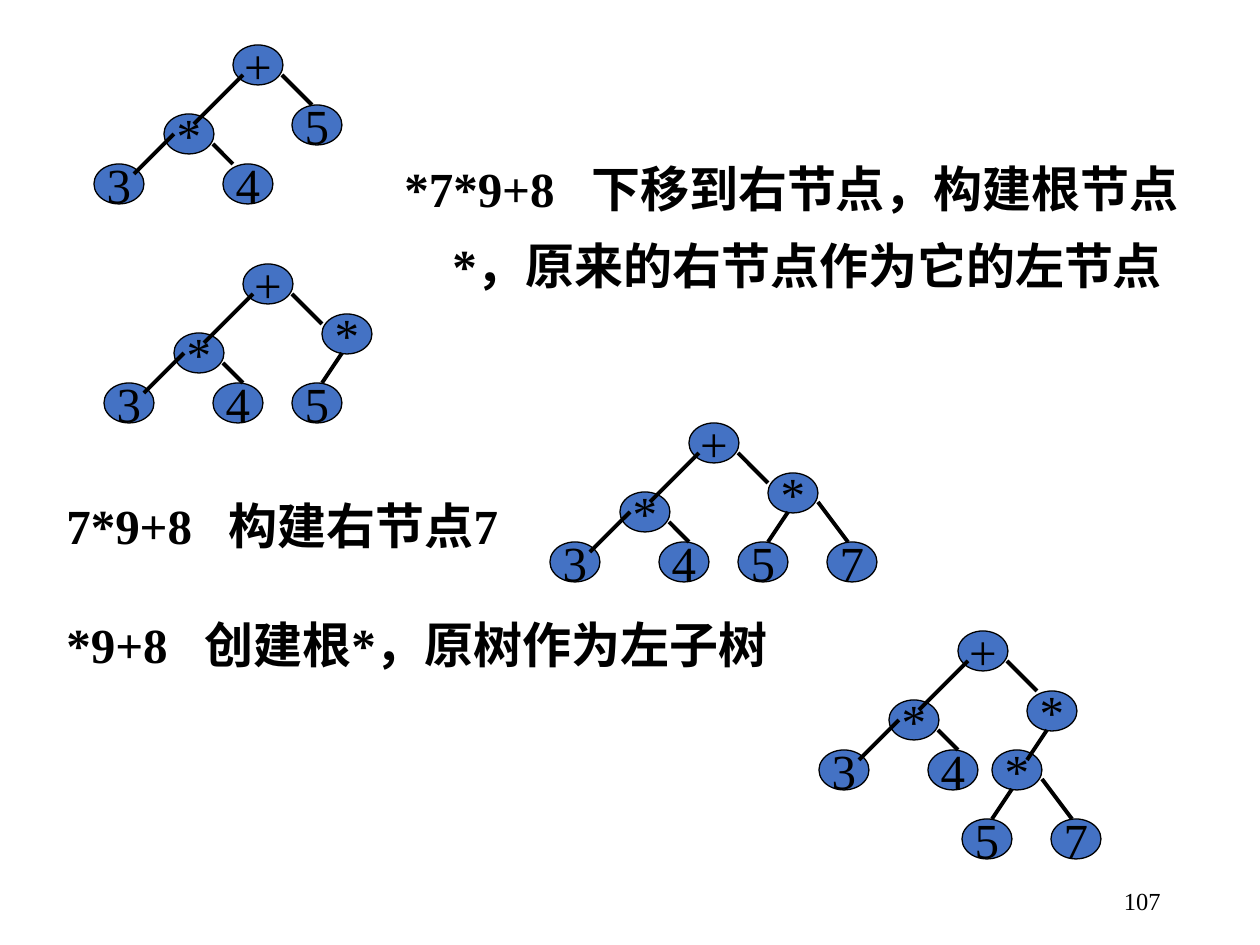
from dataclasses import dataclass

from pptx import Presentation
from pptx.dml.color import RGBColor
from pptx.enum.shapes import MSO_CONNECTOR, MSO_SHAPE
from pptx.enum.text import MSO_ANCHOR, PP_ALIGN
from pptx.oxml.ns import qn
from pptx.shapes.group import GroupShape
from pptx.slide import Slide
from pptx.util import Emu, Pt

OVAL = MSO_SHAPE.OVAL
STRAIGHT = MSO_CONNECTOR.STRAIGHT
MIDDLE = MSO_ANCHOR.MIDDLE
CENTER = PP_ALIGN.CENTER
RIGHT = PP_ALIGN.RIGHT

BLACK = RGBColor(0x00, 0x00, 0x00)
BLUE = RGBColor(0x44, 0x72, 0xC4)
FONT = "Times New Roman"
PX_PER_INCH = 126
NODE_WIDTH, NODE_HEIGHT = 50, 40
HANGING_INDENT = 48
GAP_SPACING = 1400  # widens one space, in hundredths of a point

Point = tuple[int, int]


@dataclass(frozen=True)
class Node:
    label: str
    at: Point


@dataclass(frozen=True)
class Edge:
    start: Point
    end: Point


@dataclass(frozen=True)
class Tree:
    """Nodes and edges are offsets from the top left of the root node."""
    root: Point
    nodes: list[Node]
    edges: list[Edge]


@dataclass(frozen=True)
class Step:
    box: tuple[int, int, int, int]
    remaining: str
    action: str


def px(length: int) -> Emu:
    return Emu(round(length * 914400 / PX_PER_INCH))


def shift(point: Point, offset: Point) -> Point:
    return point[0] + offset[0], point[1] + offset[1]


def edge_from(origin: Point, start: Point, end: Point) -> Edge:
    return Edge(shift(origin, start), shift(origin, end))


def left_edge(star: Point) -> Edge:
    return edge_from(star, (20, 39), (0, 69))


def right_edge(star: Point) -> Edge:
    return edge_from(star, (50, 29), (80, 69))


def expression_tree(root: Point, four_x: int, nodes: list[Node], edges: list[Edge]) -> Tree:
    """Every tree is 3 * 4 on the left, plus its own right side."""
    shared_nodes = [Node("+", (0, 0)), Node("3", (-139, 119)),
                    Node("*", (-69, 69)), Node("4", (four_x, 119))]
    shared_edges = [Edge((-59, 89), (-99, 129)), Edge((-20, 99), (0, 119)),
                    Edge((10, 30), (-39, 79)), Edge((49, 30), (79, 60))]
    return Tree(root, shared_nodes + nodes, shared_edges + edges)


STAR = (79, 50)
HIGH_STAR, LOW_STAR = (69, 60), (34, 119)
FIVE, SEVEN = (-30, 69), (59, 69)

TREES = [
    expression_tree((233, 45), -10, [Node("5", (59, 60))], []),
    expression_tree((243, 264), -30,
                    [Node("*", STAR), Node("5", shift(STAR, FIVE))],
                    [left_edge(STAR)]),
    expression_tree((689, 423), -30,
                    [Node("*", STAR), Node("5", shift(STAR, FIVE)),
                     Node("7", shift(STAR, SEVEN))],
                    [left_edge(STAR), right_edge(STAR)]),
    expression_tree((958, 631), -30,
                    [Node("*", HIGH_STAR), Node("*", LOW_STAR),
                     Node("5", shift(LOW_STAR, FIVE)), Node("7", shift(LOW_STAR, SEVEN))],
                    [left_edge(HIGH_STAR), left_edge(LOW_STAR), right_edge(LOW_STAR)]),
]

STEPS = [
    Step((392, 135, 824, 81), "*7*9+8", "下移到右节点，构建根节点*，原来的右节点作为它的左节点"),
    Step((54, 472, 466, 81), "7*9+8", "构建右节点7"),
    Step((54, 591, 1012, 81), "*9+8", "创建根*，原树作为左子树"),
]


def add_run(para, text: str, size: int, bold: bool = False):
    span = para.add_run()
    span.text = text
    span.font.name = FONT
    span.font.size = Pt(size)
    span.font.bold = bold
    span.font.color.rgb = BLACK
    return span


def draw_node(group: GroupShape, node: Node, root: Point) -> None:
    left, top = shift(root, node.at)
    oval = group.shapes.add_shape(OVAL, px(left), px(top), px(NODE_WIDTH), px(NODE_HEIGHT))
    oval.shadow.inherit = False
    oval.fill.solid()
    oval.fill.fore_color.rgb = BLUE
    oval.line.color.rgb = BLACK
    oval.line.width = Pt(0.75)
    frame = oval.text_frame
    frame.word_wrap = False
    frame.vertical_anchor = MIDDLE
    para = frame.paragraphs[0]
    para.alignment = CENTER
    add_run(para, node.label, 28)


def draw_edge(group: GroupShape, edge: Edge, root: Point) -> None:
    ends = shift(root, edge.start) + shift(root, edge.end)
    line = group.shapes.add_connector(STRAIGHT, *map(px, ends))
    line.line.color.rgb = BLACK
    line.line.width = Pt(2.25)
    properties = line._element.spPr
    properties.append(properties.makeelement(qn("a:effectLst"), {}))


def draw_tree(page: Slide, tree: Tree) -> None:
    group = page.shapes.add_group_shape()
    for node in tree.nodes:
        draw_node(group, node, tree.root)
    for edge in tree.edges:
        draw_edge(group, edge, tree.root)


def draw_step(page: Slide, step: Step) -> None:
    box = page.shapes.add_textbox(*map(px, step.box))
    box.text_frame.word_wrap = True
    para = box.text_frame.paragraphs[0]
    para.line_spacing = 1.3
    properties = para._p.get_or_add_pPr()
    properties.set("marL", str(px(HANGING_INDENT)))
    properties.set("indent", str(-px(HANGING_INDENT)))
    add_run(para, step.remaining, 28, bold=True)
    gap = add_run(para, " ", 28, bold=True)
    gap._r.get_or_add_rPr().set("spc", str(GAP_SPACING))
    add_run(para, step.action, 28, bold=True)


def draw_page_number(page: Slide) -> None:
    box = page.shapes.add_textbox(px(890), px(876), px(283), px(50))
    box.text_frame.word_wrap = True
    box.text_frame.vertical_anchor = MIDDLE
    para = box.text_frame.paragraphs[0]
    para.alignment = RIGHT
    add_run(para, "107", 14)


def main() -> None:
    deck = Presentation()
    deck.slide_width, deck.slide_height = px(1260), px(945)
    page = deck.slides.add_slide(deck.slide_layouts[6])

    # Parsing steps
    for step in STEPS:
        draw_step(page, step)

    # Growth of the expression tree
    for tree in TREES:
        draw_tree(page, tree)

    draw_page_number(page)
    deck.save("out.pptx")


if __name__ == "__main__":
    main()
